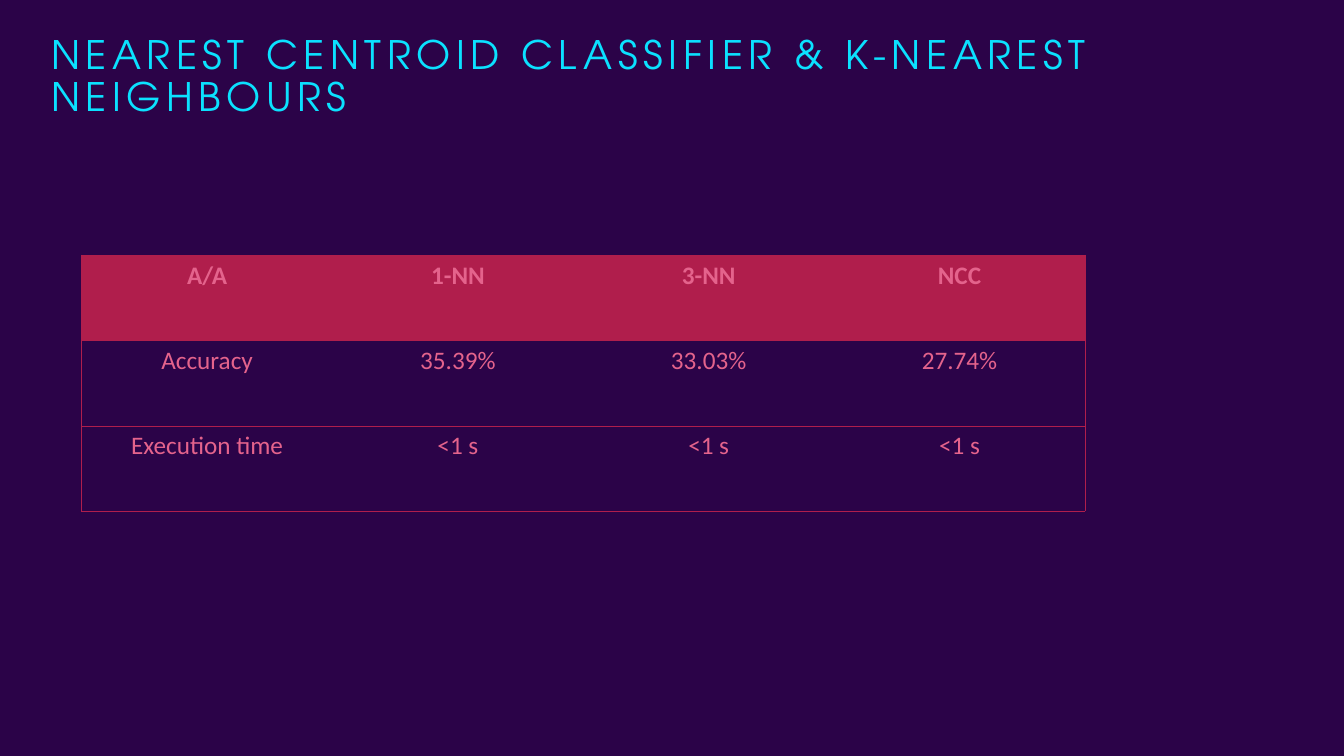
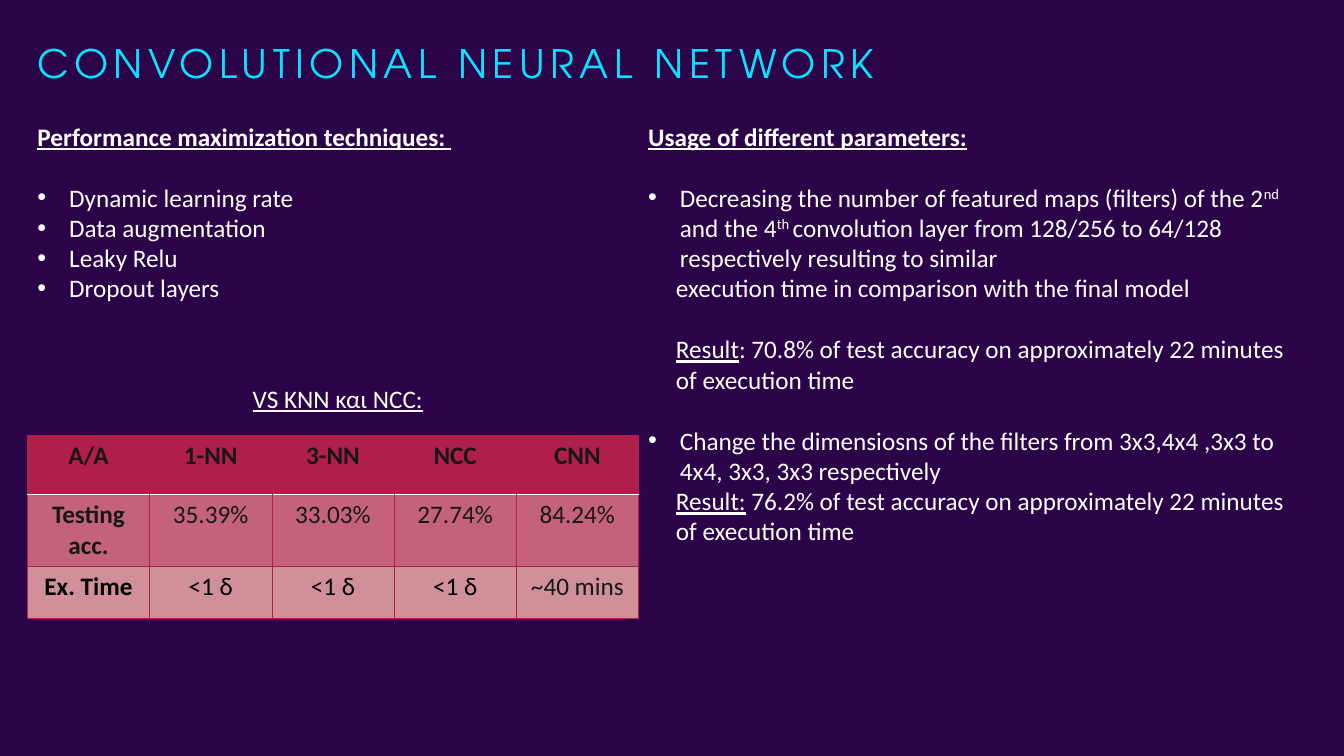
from dataclasses import dataclass
from typing import Optional, Sequence

from lxml.etree import SubElement
from pptx import Presentation
from pptx.dml.color import RGBColor
from pptx.enum.text import MSO_ANCHOR, MSO_AUTO_SIZE, PP_ALIGN
from pptx.oxml import parse_xml
from pptx.oxml.ns import nsdecls, qn
from pptx.util import Cm, Pt

COLORS = {
    "night": "2B0348",
    "cyan": "0BE1FF",
    "white": "FFFFFF",
    "black": "000000",
    "ink": "181717",
    "pink": "E4638C",
    "crimson": "B01E4C",
    "rose": "C4627B",
    "blush": "D19099",
}
TITLE_FONT, BODY_FONT = "TeX Gyre Adventor", "Calibri"
BODY_SIZE = 18
LINE_GAP = 22
BULLET_INDENT, RESULT_INDENT = 0.8, 0.7
TITLE_ONLY, TWO_CONTENT = 5, 3


@dataclass(frozen=True)
class Box:
    """A rectangle in centimetres."""
    left: float
    top: float
    width: float
    height: float


@dataclass(frozen=True)
class Span:
    text: str
    bold: bool = False
    underline: bool = False
    raised: bool = False


@dataclass(frozen=True)
class Para:
    spans: Sequence[Span]
    bullet: bool = False
    indent: float = 0
    gap: float = 0


@dataclass(frozen=True)
class Row:
    cells: Sequence[str]
    height: float
    ink: str
    fill: Optional[str] = None
    bold: bool = False
    bold_first: bool = False
    last_ink: Optional[str] = None


@dataclass(frozen=True)
class Edge:
    color: str
    points: float


RULE = Edge("crimson", 0.5)
HEADER_RULE = Edge("white", 1)


def rgb(name: str) -> RGBColor:
    return RGBColor.from_string(COLORS[name])


def add_run(paragraph, text: str, *, color: str = "white", size: float = BODY_SIZE,
            font: str = BODY_FONT, bold: bool = False, underline: bool = False,
            raised: bool = False, tracking: float = 0) -> None:
    run = paragraph.add_run()
    run.text = text
    run.font.name, run.font.size = font, Pt(size)
    run.font.bold, run.font.underline = bold, underline
    run.font.color.rgb = rgb(color)
    properties = run.font._element
    if raised:
        properties.set("baseline", "30000")
    if tracking:
        properties.set("spc", str(int(tracking * 100)))


def place(shape, box: Box) -> None:
    shape.left, shape.top = Cm(box.left), Cm(box.top)
    shape.width, shape.height = Cm(box.width), Cm(box.height)


def top_anchored(shape):
    """Return the shape's text frame, wrapped and anchored at the top."""
    frame = shape.text_frame
    frame.word_wrap = True
    frame.auto_size = MSO_AUTO_SIZE.NONE
    frame.vertical_anchor = MSO_ANCHOR.TOP
    return frame


def set_title(slide, text: str, box: Box) -> None:
    place(slide.shapes.title, box)
    line = top_anchored(slide.shapes.title).paragraphs[0]
    line.alignment = PP_ALIGN.LEFT
    line.line_spacing = 0.9
    add_run(line, text, color="cyan", size=28, font=TITLE_FONT, tracking=4)


def set_indent(paragraph, indent: float, bullet: bool) -> None:
    properties = paragraph._p.get_or_add_pPr()
    left = BULLET_INDENT if bullet else indent
    properties.set("marL", str(Cm(left)))
    properties.set("indent", str(-Cm(left) if bullet else 0))
    if bullet:
        SubElement(properties, qn("a:buFont")).set("typeface", "Arial")
        SubElement(properties, qn("a:buChar")).set("char", "•")
    else:
        SubElement(properties, qn("a:buNone"))


def fill_body(body, paras: Sequence[Para], box: Box) -> None:
    place(body, box)
    frame = top_anchored(body)
    for number, para in enumerate(paras):
        line = frame.add_paragraph() if number else frame.paragraphs[0]
        set_indent(line, para.indent, para.bullet)
        line.alignment = PP_ALIGN.LEFT
        line.space_before = Pt(para.gap)
        for span in para.spans:
            add_run(line, span.text, bold=span.bold, underline=span.underline,
                    raised=span.raised)


def set_edges(cell, edges: Sequence[Optional[Edge]]) -> None:
    """Draw the left, right, top and bottom edges; None leaves an edge out."""
    properties = cell._tc.get_or_add_tcPr()
    for position, (side, edge) in enumerate(zip("LRTB", edges)):
        width = Pt(edge.points) if edge else 0
        paint = (f'<a:solidFill><a:srgbClr val="{COLORS[edge.color]}"/></a:solidFill>'
                 if edge else "<a:noFill/>")
        properties.insert(position, parse_xml(
            f'<a:ln{side} {nsdecls("a")} w="{width}">{paint}</a:ln{side}>'))


def draw_table(slide, rows: Sequence[Row], left: float, top: float, column: float,
               *, inner: Optional[Edge], under_header: Edge) -> None:
    columns = len(rows[0].cells)
    table = slide.shapes.add_table(
        len(rows), columns, Cm(left), Cm(top), Cm(column * columns),
        Cm(sum(row.height for row in rows))).table
    table.first_row = table.horz_banding = False
    for table_column in table.columns:
        table_column.width = Cm(column)
    for r, row in enumerate(rows):
        table.rows[r].height = Cm(row.height)
        for c, text in enumerate(row.cells):
            first, last = c == 0, c == columns - 1
            cell = table.cell(r, c)
            if row.fill:
                cell.fill.solid()
                cell.fill.fore_color.rgb = rgb(row.fill)
            else:
                cell.fill.background()
            vertical = inner if r else None
            set_edges(cell, (RULE if first else vertical,
                             RULE if last else vertical,
                             under_header if r == 1 else RULE,
                             under_header if r == 0 else RULE))
            line = cell.text_frame.paragraphs[0]
            line.alignment = PP_ALIGN.CENTER
            add_run(line, text, color=(last and row.last_ink) or row.ink,
                    bold=row.bold or (first and row.bold_first))


def heading(text: str) -> Para:
    return Para([Span(text, bold=True, underline=True)])


def bullet(*spans: Span, gap: float = 0) -> Para:
    return Para(spans, bullet=True, gap=gap)


def continued(*spans: Span, gap: float = 0) -> Para:
    return Para(spans, indent=RESULT_INDENT, gap=gap)


BASELINE_ROWS = [
    Row(["A/A", "1-NN", "3-NN", "NCC"], 2.15, "pink", "crimson", bold=True),
    Row(["Accuracy", "35.39%", "33.03%", "27.74%"], 2.15, "pink"),
    Row(["Execution time", "<1 s", "<1 s", "<1 s"], 2.15, "pink"),
]
COMPARISON_ROWS = [
    Row(["A/A", "1-NN", "3-NN", "NCC", "CNN"], 1.5, "ink", "crimson", bold=True),
    Row(["Testing acc.", "35.39%", "33.03%", "27.74%", "84.24%"], 1.8, "ink", "rose",
        bold_first=True),
    Row(["Ex. Time", "<1 δ", "<1 δ", "<1 δ", "~40 mins"], 1.3, "black", "blush",
        bold_first=True, last_ink="ink"),
]
TECHNIQUES = ["Dynamic learning rate", "Data augmentation", "Leaky Relu", "Dropout layers"]
PARAMETERS = [
    heading("Usage of different parameters:"),
    bullet(Span("Decreasing the number of featured maps (filters) of the 2"),
           Span("nd ", raised=True), Span("and the 4"), Span("th ", raised=True),
           Span("convolution layer from 128/256 to 64/128 respectively "
                "resulting to similar"), gap=LINE_GAP),
    continued(Span("execution time in comparison with the final model")),
    continued(Span("Result", underline=True),
              Span(": 70.8% of test accuracy on approximately 22 minutes"), gap=LINE_GAP),
    continued(Span("of execution time")),
    bullet(Span("Change the dimensiosns of the filters from 3x3,4x4 ,3x3 to "
                "4x4, 3x3, 3x3 respectively"), gap=LINE_GAP),
    continued(Span("Result:", underline=True),
              Span(" 76.2% of test accuracy on approximately 22 minutes")),
    continued(Span("of execution time")),
]


def build_baselines(deck) -> None:
    slide = deck.slides.add_slide(deck.slide_layouts[TITLE_ONLY])
    set_title(slide, "NEAREST CENTROID CLASSIFIER & K-NEAREST NEIGHBOURS",
              Box(1.04, 0.76, 32, 2.72))
    draw_table(slide, BASELINE_ROWS, 2.06, 6.43, 6.32, inner=None, under_header=RULE)


def build_network(deck) -> None:
    slide = deck.slides.add_slide(deck.slide_layouts[TWO_CONTENT])
    set_title(slide, "CONVOLUTIONAL NEURAL NETWORK", Box(0.69, 0.99, 32, 1.6))
    techniques = [bullet(Span(name), gap=0 if number else LINE_GAP)
                  for number, name in enumerate(TECHNIQUES)]
    fill_body(slide.placeholders[1],
              [heading("Performance maximization techniques: "), *techniques],
              Box(0.69, 2.92, 13.4, 5.64))
    fill_body(slide.placeholders[2], PARAMETERS, Box(16.08, 2.92, 17.12, 12.57))
    versus = slide.shapes.add_textbox(Cm(6.12), Cm(9.53), Cm(8), Cm(1.03))
    add_run(top_anchored(versus).paragraphs[0], "VS KNN και NCC:", underline=True)
    draw_table(slide, COMPARISON_ROWS, 0.69, 10.97, 3.08, inner=RULE,
               under_header=HEADER_RULE)


def main() -> None:
    deck = Presentation()
    deck.slide_width, deck.slide_height = Cm(33.87), Cm(19.05)
    backdrop = deck.slide_master.background.fill
    backdrop.solid()
    backdrop.fore_color.rgb = rgb("night")
    build_baselines(deck)
    build_network(deck)
    deck.save("out.pptx")


if __name__ == "__main__":
    main()
